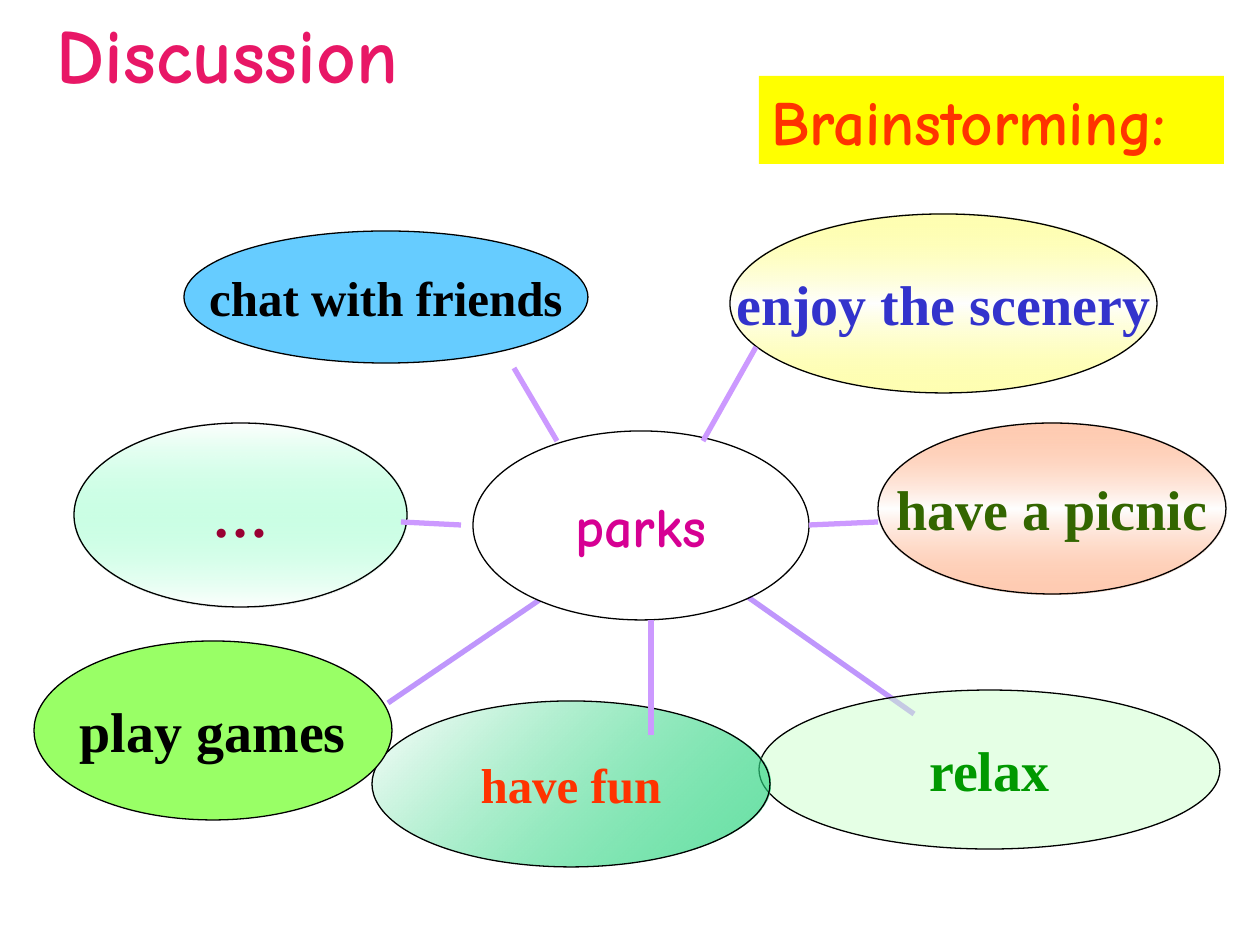
from dataclasses import dataclass
from typing import Optional, Union

from lxml import etree
from pptx import Presentation
from pptx import util as u
from pptx.dml.color import RGBColor
from pptx.enum import shapes, text
from pptx.oxml import ns

PX_PER_INCH = 126


@dataclass(frozen=True)
class Theme:
    serif: str = "Times New Roman"
    hand: str = "Comic Neue"
    outline: str = "000000"
    outline_pt: float = 0.75
    link: str = "CC99FF"
    under_link: str = "BF96FC"
    link_pt: int = 3
    idea_pt: int = 32
    small_idea_pt: int = 28
    banner_pt: int = 36
    title_pt: int = 44
    banner_fill: str = "FFFF00"
    banner_ink: str = "FF3300"
    title_edge: str = "EAEAEA"
    title_edge_pt: int = 1


THEME = Theme()


@dataclass(frozen=True)
class Stop:
    position: int
    color: str
    alpha: int = 100


@dataclass(frozen=True)
class Paint:
    stops: tuple[Stop, ...]
    angle: int = 0


@dataclass(frozen=True)
class Box:
    left: int
    top: int
    width: int
    height: int


@dataclass(frozen=True)
class Idea:
    label: str
    box: Box
    paint: Paint
    ink: str
    size: int = THEME.idea_pt
    font: str = THEME.serif


@dataclass(frozen=True)
class Link:
    x1: int
    y1: int
    x2: int
    y2: int
    color: str = THEME.link


def plain(color: str, alpha: int = 100) -> Paint:
    return Paint((Stop(0, color, alpha),))


def banded(edge: Stop, middle: Stop) -> Paint:
    return Paint((edge, middle, Stop(100, edge.color, edge.alpha)), 90)


RAINBOW = Paint((
    Stop(0, "A603AB"), Stop(12, "E81766"), Stop(27, "EE3F17"), Stop(48, "FFFF00"),
    Stop(65, "1A8D48"), Stop(79, "0819FB"), Stop(100, "A603AB"),
))

UNDER_LINKS = (
    Link(557, 588, 388, 703, THEME.under_link),
    Link(735, 588, 914, 714, THEME.under_link),
)
IDEAS = (
    Idea("relax", Box(759, 690, 461, 159), plain("CCFFCC", 50), "009900"),
    Idea("parks", Box(473, 431, 336, 189), plain("FFFFFF"), "D60093", font=THEME.hand),
    Idea("…", Box(74, 423, 333, 184),
         banded(Stop(0, "FFFFFF"), Stop(50, "99FFCC", 50)), "990033"),
    Idea("enjoy the scenery", Box(730, 214, 427, 179),
         banded(Stop(0, "FFFF66", 50), Stop(50, "FFFFFF")), "3333CC"),
    Idea("have fun", Box(372, 701, 398, 166),
         Paint((Stop(0, "FFFFFF"), Stop(100, "00CC66", 58)), 45), "FF3300",
         THEME.small_idea_pt),
    Idea("have a picnic", Box(878, 423, 348, 171),
         banded(Stop(0, "FF9966", 50), Stop(50, "FFFFFF")), "336600"),
    Idea("play games", Box(34, 641, 358, 179), plain("99FF66"), "000000"),
    Idea("chat with friends", Box(184, 231, 404, 132), plain("66CCFF"), "000000",
         THEME.small_idea_pt),
)
OVER_LINKS = (
    Link(651, 620, 651, 735),
    Link(401, 522, 461, 525),
    Link(809, 525, 878, 522),
    Link(514, 368, 557, 441),
    Link(756, 347, 703, 441),
)
BANNER_BOX = Box(759, 76, 465, 88)
TITLE_BOX = Box(44, 0, 367, 100)


def px(length: int) -> u.Emu:
    return u.Emu(round(length * u.Inches(1) / PX_PER_INCH))


def place(box: Box) -> tuple[u.Emu, ...]:
    return px(box.left), px(box.top), px(box.width), px(box.height)


def add_color(parent, stop: Stop) -> None:
    color = etree.SubElement(parent, ns.qn("a:srgbClr"), val=stop.color)
    if stop.alpha < 100:
        etree.SubElement(color, ns.qn("a:alpha"), val=str(stop.alpha * 1000))


def apply_paint(fill, owner, paint: Paint) -> None:
    fill.solid()
    fill.fore_color.rgb = RGBColor.from_string(paint.stops[0].color)
    solid = owner.find(ns.qn("a:solidFill"))
    if len(paint.stops) == 1:
        solid.remove(solid[0])
        add_color(solid, paint.stops[0])
        return
    gradient = etree.Element(ns.qn("a:gradFill"), rotWithShape="1")
    stop_list = etree.SubElement(gradient, ns.qn("a:gsLst"))
    for stop in paint.stops:
        add_color(etree.SubElement(stop_list, ns.qn("a:gs"), pos=str(stop.position * 1000)), stop)
    etree.SubElement(gradient, ns.qn("a:lin"), ang=str(paint.angle * 60000), scaled="1")
    owner.replace(solid, gradient)


def write(shape, label: str, font: str, size: int, paint: Paint,
          align=text.PP_ALIGN.CENTER, anchor=text.MSO_ANCHOR.MIDDLE):
    frame = shape.text_frame
    frame.text = label
    frame.word_wrap = False
    frame.vertical_anchor = anchor
    paragraph = frame.paragraphs[0]
    paragraph.alignment = align
    run = paragraph.runs[0]
    run.font.name = font
    run.font.size = u.Pt(size)
    run.font.bold = True
    properties = run.font.fill
    apply_paint(properties, run._r.get_or_add_rPr(), paint)
    return run


def add_filled(slide, kind, box: Box, paint: Paint, outline: Optional[str] = None):
    shape = slide.shapes.add_shape(kind, *place(box))
    shape.shadow.inherit = False
    apply_paint(shape.fill, shape._element.spPr, paint)
    if outline:
        shape.line.color.rgb = RGBColor.from_string(outline)
        shape.line.width = u.Pt(THEME.outline_pt)
    else:
        shape.line.fill.background()
    return shape


def draw(slide, part: Union[Idea, Link]) -> None:
    if isinstance(part, Idea):
        oval = add_filled(slide, shapes.MSO_SHAPE.OVAL, part.box, part.paint, THEME.outline)
        write(oval, part.label, part.font, part.size, plain(part.ink))
        return
    link = slide.shapes.add_connector(
        shapes.MSO_CONNECTOR.STRAIGHT, px(part.x1), px(part.y1), px(part.x2), px(part.y2))
    link.line.color.rgb = RGBColor.from_string(part.color)
    link.line.width = u.Pt(THEME.link_pt)
    etree.SubElement(link._element.spPr, ns.qn("a:effectLst"))


def draw_banner(slide) -> None:
    banner = add_filled(slide, shapes.MSO_SHAPE.RECTANGLE, BANNER_BOX, plain(THEME.banner_fill))
    write(banner, "Brainstorming:", THEME.hand, THEME.banner_pt, plain(THEME.banner_ink),
          text.PP_ALIGN.LEFT, text.MSO_ANCHOR.TOP)
    banner.text_frame.auto_size = text.MSO_AUTO_SIZE.SHAPE_TO_FIT_TEXT


def draw_title(slide) -> None:
    title = slide.shapes.add_textbox(*place(TITLE_BOX))
    run = write(title, "Discussion", THEME.hand, THEME.title_pt, RAINBOW,
                anchor=text.MSO_ANCHOR.TOP)
    edge = etree.Element(ns.qn("a:ln"), w=str(u.Pt(THEME.title_edge_pt)))
    add_color(etree.SubElement(edge, ns.qn("a:solidFill")), Stop(0, THEME.title_edge))
    run._r.get_or_add_rPr().insert(0, edge)


def main() -> None:
    deck = Presentation()
    deck.slide_width, deck.slide_height = px(1260), px(945)
    slide = deck.slides.add_slide(deck.slide_layouts[6])
    for part in UNDER_LINKS + IDEAS + OVER_LINKS:
        draw(slide, part)
    draw_banner(slide)
    draw_title(slide)
    deck.save("out.pptx")


if __name__ == "__main__":
    main()
